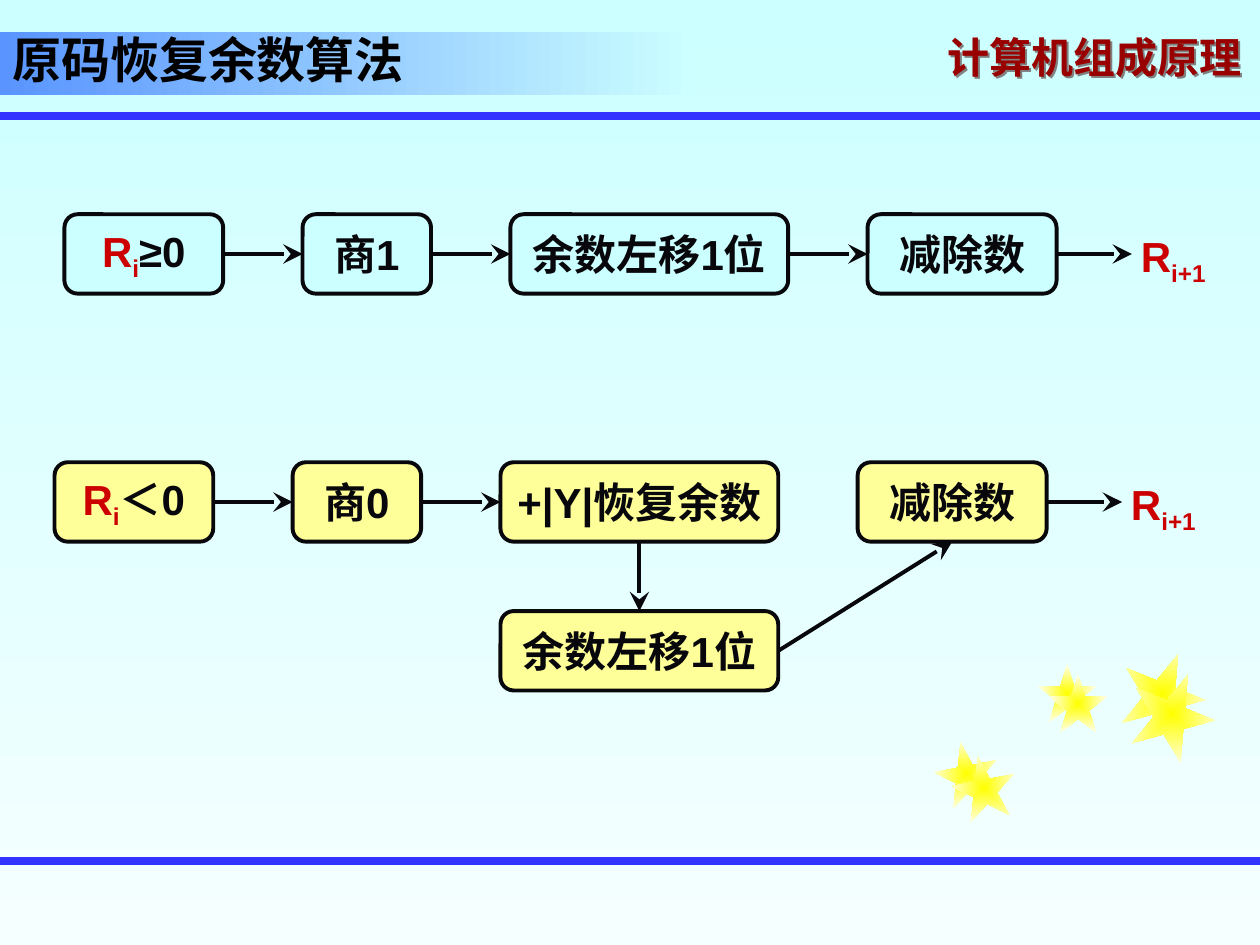
from lxml import etree
from pptx import Presentation
from pptx.dml.color import RGBColor
from pptx.enum.shapes import MSO_CONNECTOR, MSO_SHAPE
from pptx.enum.text import MSO_ANCHOR, MSO_AUTO_SIZE, PP_ALIGN
from pptx.oxml.ns import qn
from pptx.util import Cm, Pt

STRAIGHT = MSO_CONNECTOR.STRAIGHT
RECT, ROUND, STAR = MSO_SHAPE.RECTANGLE, MSO_SHAPE.ROUNDED_RECTANGLE, MSO_SHAPE.STAR_5_POINT
TOP, MIDDLE, BOTTOM = MSO_ANCHOR.TOP, MSO_ANCHOR.MIDDLE, MSO_ANCHOR.BOTTOM
LEFT, CENTER = PP_ALIGN.LEFT, PP_ALIGN.CENTER
GROW = MSO_AUTO_SIZE.SHAPE_TO_FIT_TEXT

THEME = {
    "sky": "CCFFFF", "pale": "F5FFFF", "band": "5994FF", "rule": "3333FF",
    "ink": "08080C", "black": "000000", "red": "CC0000", "maroon": "990000",
    "yellow": "FFFF99", "star": "FFFF00", "star_edge": "FFFFE9", "shadow": "808080",
    "title_size": 28, "body_size": 24,
    "font": "Arial", "title_font": "Roboto", "cjk": "Noto Sans CJK SC",
}


def add_text(sp, runs, anchor=MIDDLE, align=LEFT, font="font", size="body_size"):
    tf = sp.text_frame
    tf.word_wrap = False
    tf.vertical_anchor = anchor
    p = tf.paragraphs[0]
    p.alignment = align
    for text, color, baseline in runs:
        r = p.add_run()
        r.text = text
        r.font.name = THEME[font]
        r.font.size = Pt(THEME[size])
        r.font.bold = True
        r.font.color.rgb = RGBColor.from_string(THEME[color])
        rPr = r._r.get_or_add_rPr()
        rPr.find(qn("a:latin")).addnext(rPr.makeelement(qn("a:ea"), {"typeface": THEME["cjk"]}))
        if baseline:
            rPr.set("baseline", str(baseline * 1000))
    return p


def add_line(x1, y1, x2, y2, color="ink", width=2.25, arrow=True):
    cxn = s.shapes.add_connector(STRAIGHT, Cm(x1), Cm(y1), Cm(x2), Cm(y2))
    cxn.line.color.rgb = RGBColor.from_string(THEME[color])
    cxn.line.width = Pt(width)
    if arrow:
        ln = cxn.line._get_or_add_ln()
        etree.SubElement(ln, qn("a:tailEnd"), type="stealth", w="lg", len="lg")
    etree.SubElement(cxn._element.spPr, qn("a:effectLst"))
    return cxn


prs = Presentation()
prs.slide_width, prs.slide_height = Cm(25.4), Cm(19.05)
s = prs.slides.add_slide(prs.slide_layouts[6])

fill = s.background.fill
fill.gradient()
fill.gradient_angle = 270
for stop, color in zip(fill.gradient_stops, ("sky", "pale")):
    stop.color.rgb = RGBColor.from_string(THEME[color])

course = s.shapes.add_textbox(Cm(18.85), Cm(0.64), Cm(6.55), Cm(1.27))
p = add_text(course, [("计算机组成原理", "maroon", 0)], font="cjk")
p.line_spacing = 0.7
effects = etree.SubElement(course._element.spPr, qn("a:effectLst"))
shadow = etree.SubElement(effects, qn("a:outerShdw"), dist="18000", dir="2700000")
etree.SubElement(shadow, qn("a:srgbClr"), val=THEME["shadow"])

for y in (2.33, 17.35):
    add_line(0, y, 25.4, y, "rule", 4.5, False)

stars = [(18.85, 14.96, 1.27, -11), (20.93, 13.39, 1.17, 0), (22.58, 13.13, 1.7, 22),
         (19.2, 15.24, 1.27, -11), (21.15, 13.6, 1.17, 0), (22.78, 13.54, 1.7, 22)]
for x, y, size, angle in stars:
    sp = s.shapes.add_shape(STAR, Cm(x), Cm(y), Cm(size), Cm(size))
    sp.rotation = angle
    sp.shadow.inherit = False
    sp.line.fill.background()
    sp.fill.gradient()
    for stop, color in zip(sp.fill.gradient_stops, ("star", "star_edge")):
        stop.color.rgb = RGBColor.from_string(THEME[color])
    grad = sp._element.spPr.find(qn("a:gradFill"))
    grad.remove(grad.find(qn("a:lin")))
    shade = etree.SubElement(grad, qn("a:path"), path="rect")
    etree.SubElement(shade, qn("a:fillToRect"), l="50000", t="50000", r="50000", b="50000")

title = s.shapes.add_shape(RECT, 0, Cm(0.64), Cm(13.97), Cm(1.27))
title.shadow.inherit = False
title.line.fill.background()
title.fill.gradient()
title.fill.gradient_angle = 0
for stop, color in zip(title.fill.gradient_stops, ("band", "sky")):
    stop.color.rgb = RGBColor.from_string(THEME[color])
add_text(title, [("原码恢复余数算法", "black", 0)], BOTTOM, font="title_font", size="title_size")

box_h, gap, arrow_len = 1.6, 1.6, 1.52
widths = (3.2, 2.59, 5.6, 3.81)
rows = [(1.3, 4.32, "sky", "≥0", ("商1", "余数左移1位", "减除数")),
        (1.1, 9.32, "yellow", "＜0", ("商0", "+|Y|恢复余数", "减除数"))]

nodes = []
for x, y, color, test, steps in rows:
    texts = [[("R", "red", 0), ("i", "red", -25), (test, "ink", 0)]]
    texts += [[(step, "ink", 0)] for step in steps]
    for w, runs in zip(widths, texts):
        nodes.append((x, y, w, color, runs))
        x += w + gap
restore_x, restore_y, restore_w = nodes[6][:3]
nodes.append((restore_x, restore_y + 3, restore_w, "yellow", [("余数左移1位", "ink", 0)]))

boxes = []
for x, y, w, color, runs in nodes:
    sp = s.shapes.add_shape(ROUND, Cm(x), Cm(y), Cm(w), Cm(box_h))
    sp.shadow.inherit = False
    sp.fill.solid()
    sp.fill.fore_color.rgb = RGBColor.from_string(THEME[color])
    sp.line.color.rgb = RGBColor.from_string(THEME["ink"])
    sp.line.width = Pt(2.25)
    add_text(sp, runs, align=CENTER)
    boxes.append(sp)

links = [(i, 3, i + 1, 1) for i in (0, 1, 2, 4, 5)] + [(6, 2, 8, 0), (8, 3, 7, 2)]
for start, start_side, end, end_side in links:
    cxn = add_line(0, 0, 1, 1)
    cxn.begin_connect(boxes[start], start_side)
    cxn.end_connect(boxes[end], end_side)

for last in (3, 7):
    x, y, w = nodes[last][:3]
    right, mid = x + w, y + box_h / 2
    cxn = add_line(right, mid, right + arrow_len, mid)
    cxn.begin_connect(boxes[last], 3)
    sp = s.shapes.add_textbox(Cm(right + 1.45), Cm(y + 0.2), Cm(1.85), Cm(1.42))
    add_text(sp, [("R", "red", 0), ("i+1", "red", -25)], TOP)
    sp.text_frame.auto_size = GROW

prs.save("out.pptx")
